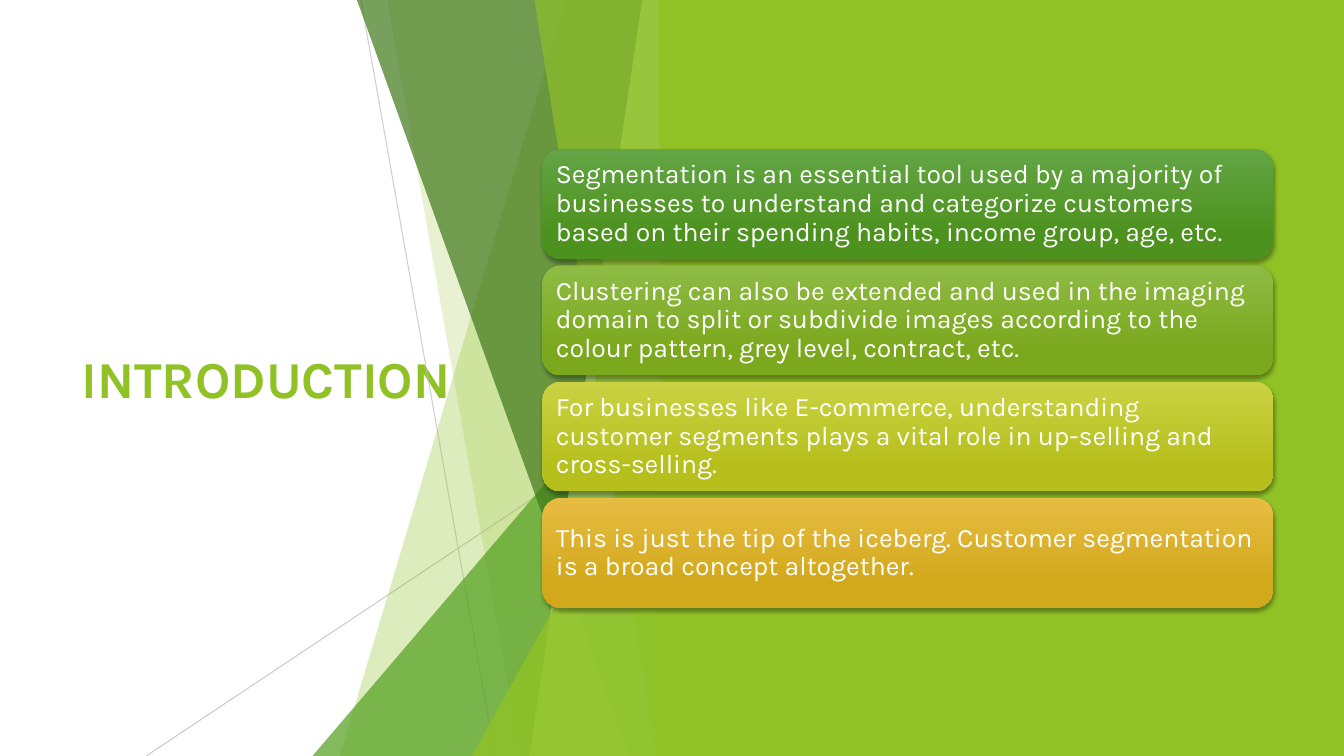
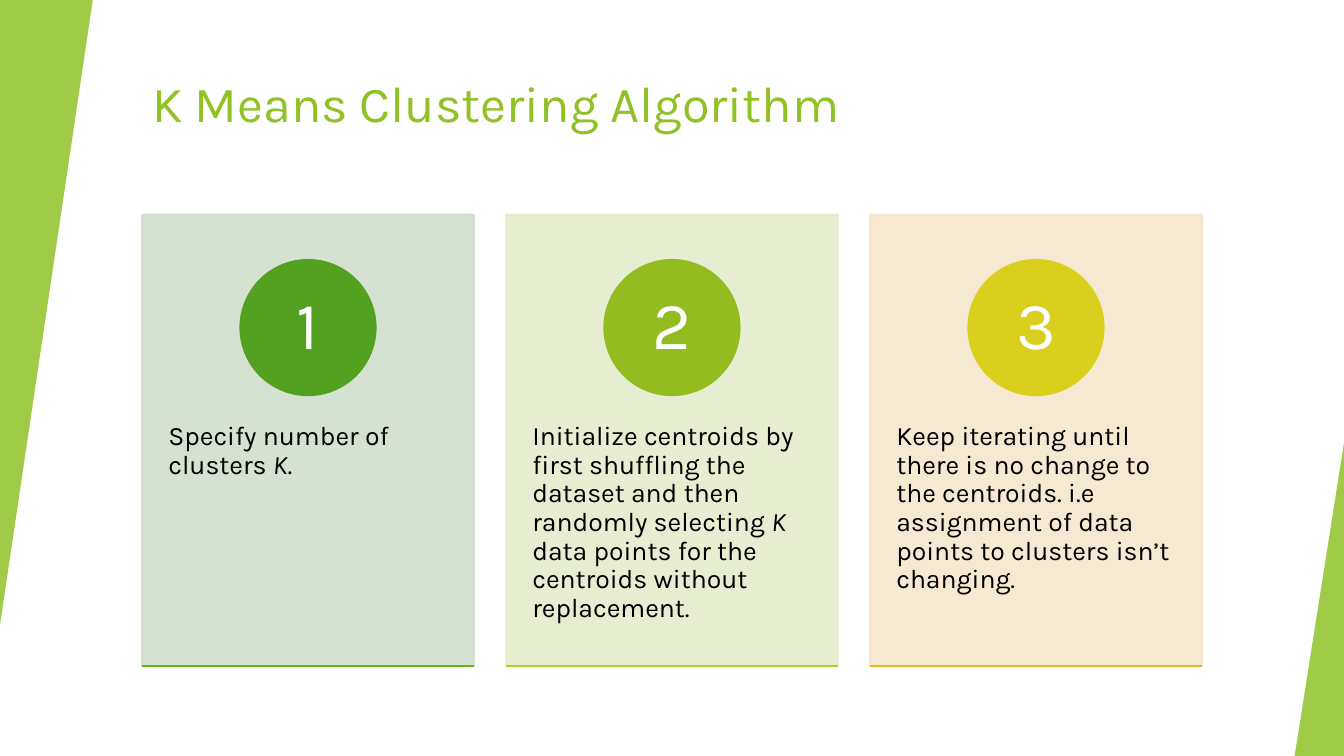
from lxml.etree import SubElement
from pptx import Presentation
from pptx.dml.color import RGBColor
from pptx.enum.shapes import MSO_CONNECTOR as Link, MSO_SHAPE as Kind
from pptx.enum.text import MSO_ANCHOR as Anchor, MSO_AUTO_SIZE as Fit, PP_ALIGN as Align
from pptx.oxml.ns import qn
from pptx.util import Inches, Pt

FONT = "Karla"
LIME, GREEN, WHITE = "90C226", "54A021", "FFFFFF"
WIDE, HIGH = 13.33, 7.5


def paint(fill, hue, alpha=100):
    """Fill solidly with a hex colour, alpha in percent."""
    fill.solid()
    fill.fore_color.rgb = RGBColor.from_string(hue)
    if alpha < 100:
        color = fill._xPr.find(".//" + qn("a:srgbClr"))
        SubElement(color, qn("a:alpha"), val=str(alpha * 1000))


def write(shape, runs, size, hue, pad=(0.1, 0.05), anchor=Anchor.MIDDLE, align=Align.LEFT):
    """Set the text of a shape; every second run is italic."""
    frame = shape.text_frame
    frame.word_wrap = True
    frame.auto_size = Fit.NONE
    frame.vertical_anchor = anchor
    frame.margin_left = frame.margin_right = Inches(pad[0])
    frame.margin_top = frame.margin_bottom = Inches(pad[1])
    para = frame.paragraphs[0]
    para.alignment = align
    para.font.name = FONT
    para.font.size = Pt(size)
    paint(para.font.fill, hue)
    for i, text in enumerate(runs):
        run = para.add_run()
        run.text = text
        if i % 2:
            run.font.italic = True
    return para


deck = Presentation()
deck.slide_width, deck.slide_height = Inches(WIDE), Inches(HIGH)
layout = deck.slide_layouts[5]

# Titles
titles = [
    ("INTRODUCTION", 37, True, Anchor.MIDDLE, (0.71, 1.51, 3.88, 4.48)),
    ("K Means Clustering Algorithm", 36, False, Anchor.TOP, (1.41, 0.67, 11.15, 1.2)),
]
for text, size, bold, anchor, box in titles:
    title = deck.slides.add_slide(layout).shapes.title
    title.left, title.top, title.width, title.height = map(Inches, box)
    para = write(title, [text], size, LIME, anchor=anchor)
    para.font.bold = bold
    para.line_spacing = 1.0
intro, steps = [slide.shapes for slide in deck.slides]

# Introduction: facets that meet the green panel at EDGE
EDGE = 6.66
for x1, y1, x2, y2, alpha in [(3.58, 0, 4.91, HIGH, 75), (EDGE, 4.03, 1.45, HIGH, 80)]:
    line = intro.add_connector(Link.STRAIGHT, *map(Inches, (x1, y1, x2, y2)))
    paint(line.line.fill, "BFBFBF", alpha)
    line.line.width = Pt(0.75)

facets = [  # top x, top y, bottom x, colour, alpha
    (5.61, 0, 3.37, LIME, 30),
    (3.84, 0, 5.16, LIME, 20),
    (EDGE, 3.33, 3.1, GREEN, 72),
    (3.54, 0, 6.24, "3F7819", 70),
    (6.37, 0, 5.25, "C0E474", 70),
    (5.3, 0, 6.51, LIME, 65),
    (EDGE, 3.93, 4.68, LIME, 80),
]
for top, y, foot, hue, alpha in facets:
    if top == EDGE:
        facet = intro.add_shape(Kind.ISOSCELES_TRIANGLE,
                                *map(Inches, (foot, y, EDGE - foot, HIGH - y)))
        facet.adjustments[0] = 1
    else:
        path = intro.build_freeform(Inches(top), Inches(y))
        corners = [(EDGE, y), (EDGE, HIGH), (foot, HIGH)]
        path.add_line_segments([(Inches(a), Inches(b)) for a, b in corners])
        facet = path.convert_to_shape()
    paint(facet.fill, hue, alpha)
    facet.line.fill.background()

panel = intro.add_shape(Kind.RECTANGLE, *map(Inches, (6.54, 0, WIDE - 6.54, HIGH)))
paint(panel.fill, LIME)
panel.line.fill.background()

# Introduction: stacked cards
points = [
    ("63A545", "4D921E", "Segmentation is an essential tool used by a majority of businesses to "
     "understand and categorize customers based on their spending habits, income group, age, etc."),
    ("8EBB44", "7BA81D", "Clustering can also be extended and used in the imaging domain to split "
     "or subdivide images according to the colour pattern, grey level, contract, etc."),
    ("CAD243", "B6BF1B", "For businesses like E-commerce, understanding customer segments plays "
     "a vital role in up-selling and cross-selling."),
    ("E7BC43", "D2A91B", "This is just the tip of the iceberg. Customer segmentation is a broad "
     "concept altogether."),
]
for i, (light, dark, text) in enumerate(points):
    card = intro.add_shape(Kind.ROUNDED_RECTANGLE,
                           *map(Inches, (5.38, 1.48 + i * 1.153, 7.25, 1.09)))
    card.fill.gradient()
    card.fill.gradient_angle = 270
    for stop, hue, spot in zip(card.fill.gradient_stops, (light, dark), (0, 0.78)):
        stop.color.rgb = RGBColor.from_string(hue)
        stop.position = spot
    card.line.fill.background()
    effect = SubElement(card.element.spPr, qn("a:effectLst"))
    shade = SubElement(effect, qn("a:outerShdw"), blurRad=str(Pt(3)), dist=str(Pt(2)),
                       dir="5400000", algn="ctr", rotWithShape="0")
    black = SubElement(shade, qn("a:srgbClr"), val="000000")
    SubElement(black, qn("a:alpha"), val="35000")
    write(card, [text], 19, WHITE, (0.08, 0.08)).line_spacing = 0.9

# Algorithm: side wedges
for x, y, w, h, turn in [(0, 0, 0.92, 6.2, 180), (12.84, 4.39, 0.49, 3.11, 0)]:
    wedge = steps.add_shape(Kind.ISOSCELES_TRIANGLE, *map(Inches, (x, y, w, h)))
    wedge.adjustments[0] = 1
    wedge.rotation = turn
    paint(wedge.fill, LIME, 85)
    wedge.line.fill.background()

# Algorithm: numbered cards
LEFT, TOP, CARD_W, CARD_H, GAP, DISC = 1.41, 2.13, 3.29, 4.48, 0.32, 1.34
stages = [  # card, disc and base line colours, text runs
    ("D1DFCD", GREEN, "71AE20", ["Specify number of clusters ", "K", "."]),
    ("E5ECCB", "92BC1F", "B9CB1E",
     ["Initialize centroids by first shuffling the dataset and then randomly selecting ", "K ",
      "data points for the centroids without replacement."]),
    ("F5E7CD", "DACF1C", "E6B91E",
     ["Keep iterating until there is no change to the centroids. i.e assignment of data points "
      "to clusters isn’t changing."]),
]
for i, (pale, strong, base, runs) in enumerate(stages):
    x = LEFT + i * (CARD_W + GAP)
    card = steps.add_shape(Kind.RECTANGLE, *map(Inches, (x, TOP, CARD_W, CARD_H)))
    disc = steps.add_shape(Kind.OVAL, *map(Inches, (x + (CARD_W - DISC) / 2, 2.58, DISC, DISC)))
    foot = steps.add_connector(Link.STRAIGHT, *map(
        Inches, (x, TOP + CARD_H, x + CARD_W, TOP + CARD_H)))
    for shape, hue, alpha in [(card, pale, 90), (disc, strong, 100)]:
        paint(shape.fill, hue, alpha)
        paint(shape.line.fill, hue, alpha)
        shape.line.width = Pt(1.5)
    paint(foot.line.fill, base)
    foot.line.width = Pt(1.5)
    para = write(card, runs, 19, "000000", (0.26, 0.1), Anchor.TOP)
    para.line_spacing = 0.9
    card.text_frame.margin_top = Inches(2.06)
    write(disc, [str(i + 1)], 48, WHITE, (0.1, 0.01), align=Align.CENTER).line_spacing = 0.9

# Only the stacked cards keep a shadow
for shape in [*intro, *steps]:
    if shape.element.spPr.find(qn("a:effectLst")) is None:
        SubElement(shape.element.spPr, qn("a:effectLst"))

deck.save("out.pptx")
